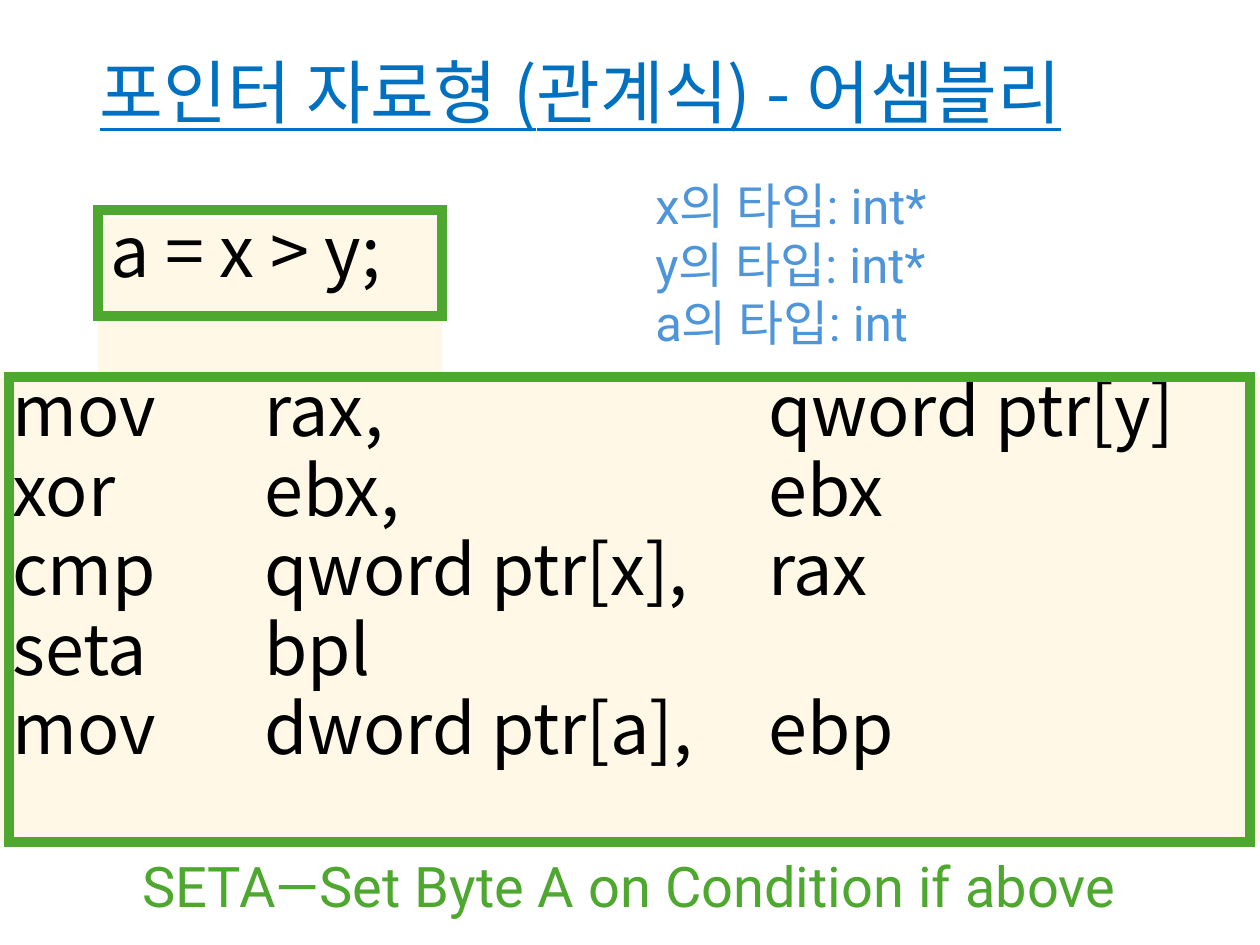
from dataclasses import dataclass

from lxml.etree import SubElement
from pptx import Presentation
from pptx.dml.color import RGBColor
from pptx.enum.shapes import MSO_SHAPE
from pptx.enum.text import MSO_ANCHOR, PP_ALIGN
from pptx.oxml.ns import qn
from pptx.util import Pt

EMU_PER_PX = 914400 / 126
TITLE_ONLY = 5


@dataclass(frozen=True)
class Theme:
    heading: str = "0070C0"
    code: str = "000000"
    cream: str = "FFF8E7"
    green: str = "4EA72E"
    note: str = "4E95D9"
    korean_font: str = "Noto Sans CJK KR"
    latin_font: str = "Roboto"
    heading_size: float = 39.6
    code_size: int = 40
    caption_size: int = 32
    note_size: int = 28
    frame_width: int = 6


def emu(px):
    return round(px * EMU_PER_PX)


def apply(target, values):
    for name, value in values.items():
        setattr(target, name, value)


class SlideBuilder:
    def __init__(self, slide, theme):
        self.slide = slide
        self.theme = theme

    def fill_text(self, shape, lines, font, size, color, paragraph_format=None,
                  space_before=0, tabs=(), anchor=MSO_ANCHOR.TOP, underline=None):
        frame = shape.text_frame
        apply(frame, {"word_wrap": True, "vertical_anchor": anchor})
        for index, line in enumerate(lines):
            paragraph = frame.paragraphs[0] if index == 0 else frame.add_paragraph()
            apply(paragraph, {
                "alignment": PP_ALIGN.LEFT,
                "space_before": Pt(space_before if index else 0),
                **(paragraph_format or {}),
            })
            if tabs:
                tab_list = SubElement(paragraph._p.get_or_add_pPr(), qn("a:tabLst"))
                for position in tabs:
                    SubElement(tab_list, qn("a:tab"), pos=str(emu(position)), algn="l")
            run = paragraph.add_run()
            run.text = line
            apply(run.font, {"name": font, "size": Pt(size), "underline": underline})
            run.font.color.rgb = RGBColor.from_string(color)
            SubElement(run._r.get_or_add_rPr(), qn("a:ea"), typeface=font)

    def title(self, box, text):
        theme = self.theme
        shape = self.slide.shapes.title
        apply(shape, dict(zip(("left", "top", "width", "height"), map(emu, box))))
        self.fill_text(shape, [text], theme.korean_font, theme.heading_size, theme.heading,
                       {"line_spacing": 0.9}, anchor=MSO_ANCHOR.MIDDLE, underline=True)

    def rectangle(self, box):
        shape = self.slide.shapes.add_shape(MSO_SHAPE.RECTANGLE, *map(emu, box))
        shape.shadow.inherit = False
        return shape

    def code_panel(self, box, lines, tabs=()):
        theme = self.theme
        shape = self.rectangle(box)
        shape.fill.solid()
        shape.fill.fore_color.rgb = RGBColor.from_string(theme.cream)
        shape.line.fill.background()
        self.fill_text(shape, lines, theme.korean_font, theme.code_size, theme.code,
                       {"line_spacing": 0.8}, space_before=7, tabs=tabs)

    def frame(self, box):
        shape = self.rectangle(box)
        shape.fill.background()
        shape.line.color.rgb = RGBColor.from_string(self.theme.green)
        shape.line.width = Pt(self.theme.frame_width)
        outline = shape._element.spPr.find(qn("a:ln"))
        SubElement(outline, qn("a:miter"), lim="800000")

    def text(self, box, lines, size, color, alignment=PP_ALIGN.LEFT):
        shape = self.slide.shapes.add_textbox(*map(emu, box))
        self.fill_text(shape, lines, self.theme.latin_font, size, color,
                       {"alignment": alignment})


def main():
    presentation = Presentation()
    apply(presentation, {"slide_width": emu(1260), "slide_height": emu(945)})
    slide = presentation.slides.add_slide(presentation.slide_layouts[TITLE_ONLY])
    theme = Theme()
    builder = SlideBuilder(slide, theme)

    builder.title((87, 50, 1173, 93), "포인터 자료형 (관계식) - 어셈블리")
    builder.code_panel((98, 218, 344, 154), ["a = x > y;"])
    builder.code_panel((0, 377, 1260, 465), [
        "mov\trax,\tqword ptr[y]",
        "xor\tebx,\tebx",
        "cmp\tqword ptr[x],\trax",
        "seta\tbpl",
        "mov\tdword ptr[a],\tebp",
    ], tabs=(252, 756))
    builder.frame((98, 210, 344, 106))
    builder.frame((9, 377, 1241, 465))
    builder.text((77, 845, 1105, 81), ["SETA—Set Byte A on Condition if above"],
                 theme.caption_size, theme.green, PP_ALIGN.CENTER)
    types = {"x": "int*", "y": "int*", "a": "int"}
    builder.text((643, 169, 426, 190),
                 [f"{name}의 타입: {kind}" for name, kind in types.items()],
                 theme.note_size, theme.note)

    presentation.save("out.pptx")


if __name__ == "__main__":
    main()
